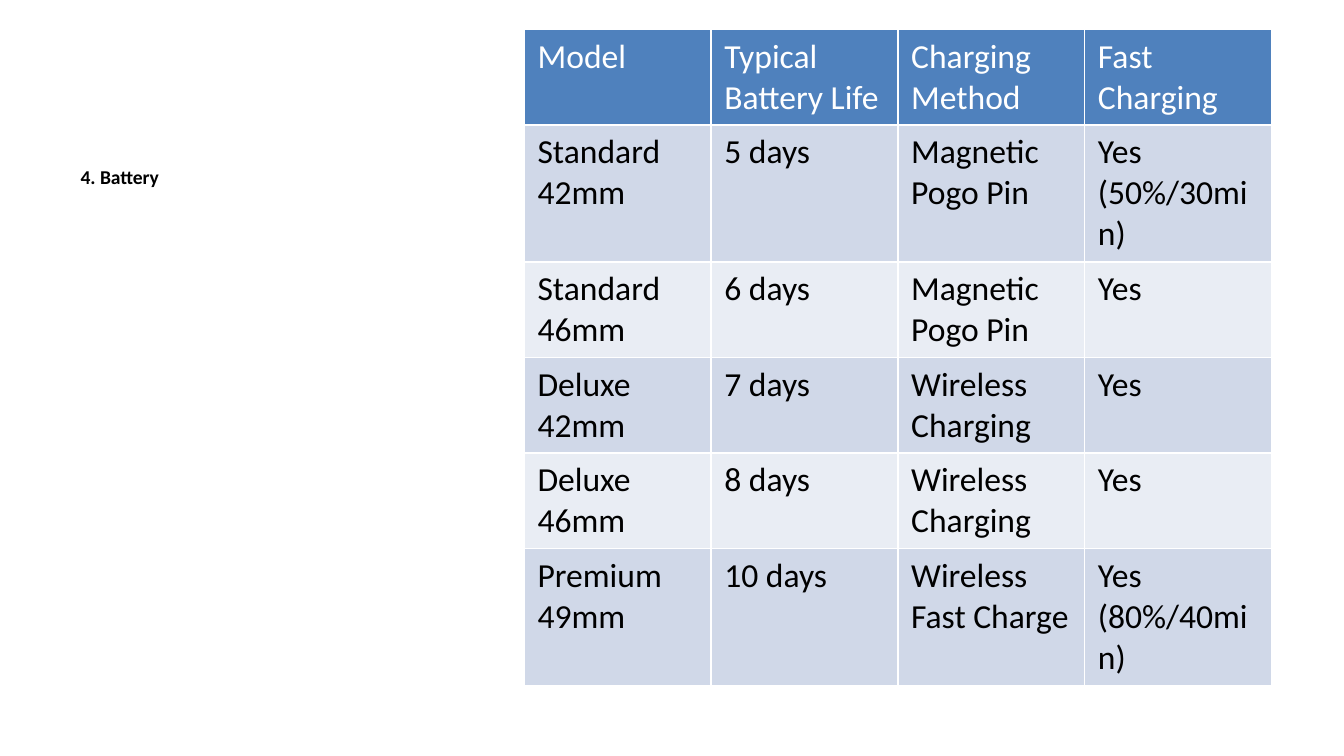
import pptx
import pptx.util
import pptx.dml.color
from pptx.util import Inches

RGB = pptx.dml.color.RGBColor
WHITE = RGB(0xFF, 0xFF, 0xFF)
BLACK = RGB(0, 0, 0)
BLUE = RGB(0x4F, 0x81, 0xBD)
BANDS = [RGB(0xD0, 0xD8, 0xE8), RGB(0xE9, 0xED, 0xF4)]
FONT = "Calibri"

# Content
HEAD = "4. Battery"
ROWS = [
    ("Model", "Typical Battery Life", "Charging Method", "Fast Charging"),
    ("Standard 42mm", "5 days", "Magnetic Pogo Pin", "Yes (50%/30min)"),
    ("Standard 46mm", "6 days", "Magnetic Pogo Pin", "Yes"),
    ("Deluxe 42mm", "7 days", "Wireless Charging", "Yes"),
    ("Deluxe 46mm", "8 days", "Wireless Charging", "Yes"),
    ("Premium 49mm", "10 days", "Wireless Fast Charge", "Yes (80%/40min)"),
]
TWO, THREE = 0.71, 1.02  # row heights for two and three lines of text
HEIGHTS = [TWO, THREE, TWO, TWO, TWO, THREE]
WIDE = 10


def add_run(para, text, size, color, bold=False):
    run = para.add_run()
    run.text = text
    run.font.name = FONT
    run.font.size = pptx.util.Pt(size)
    run.font.bold = bold
    run.font.color.rgb = color


# Slide in 16:9
deck = pptx.Presentation()
deck.slide_width, deck.slide_height = Inches(WIDE), Inches(WIDE * 9 / 16)
slide = deck.slides.add_slide(deck.slide_layouts[7])

# Caption: keep the text placeholder, drop the unused ones
body = slide.placeholders[2]
for holder in list(slide.placeholders):
    if holder.placeholder_format.idx != 2:
        holder.element.getparent().remove(holder.element)
body.left, body.top = Inches(0.5), Inches(1.18)
body.width, body.height = Inches(3.29), Inches(3.85)
para = body.text_frame.paragraphs[0]
para.space_before = pptx.util.Pt(0)
add_run(para, HEAD, 10.5, BLACK, True)

# Battery table
grid = slide.shapes.add_table(
    len(ROWS), len(ROWS[0]), Inches(3.9), Inches(0.22),
    Inches(5.56), Inches(sum(HEIGHTS))).table
for r, row in enumerate(ROWS):
    grid.rows[r].height = Inches(HEIGHTS[r])
    for c, text in enumerate(row):
        cell = grid.cell(r, c)
        cell.fill.solid()
        cell.fill.fore_color.rgb = BANDS[(r - 1) % 2] if r else BLUE
        add_run(cell.text_frame.paragraphs[0], text, 18,
                BLACK if r else WHITE)

deck.save("out.pptx")
